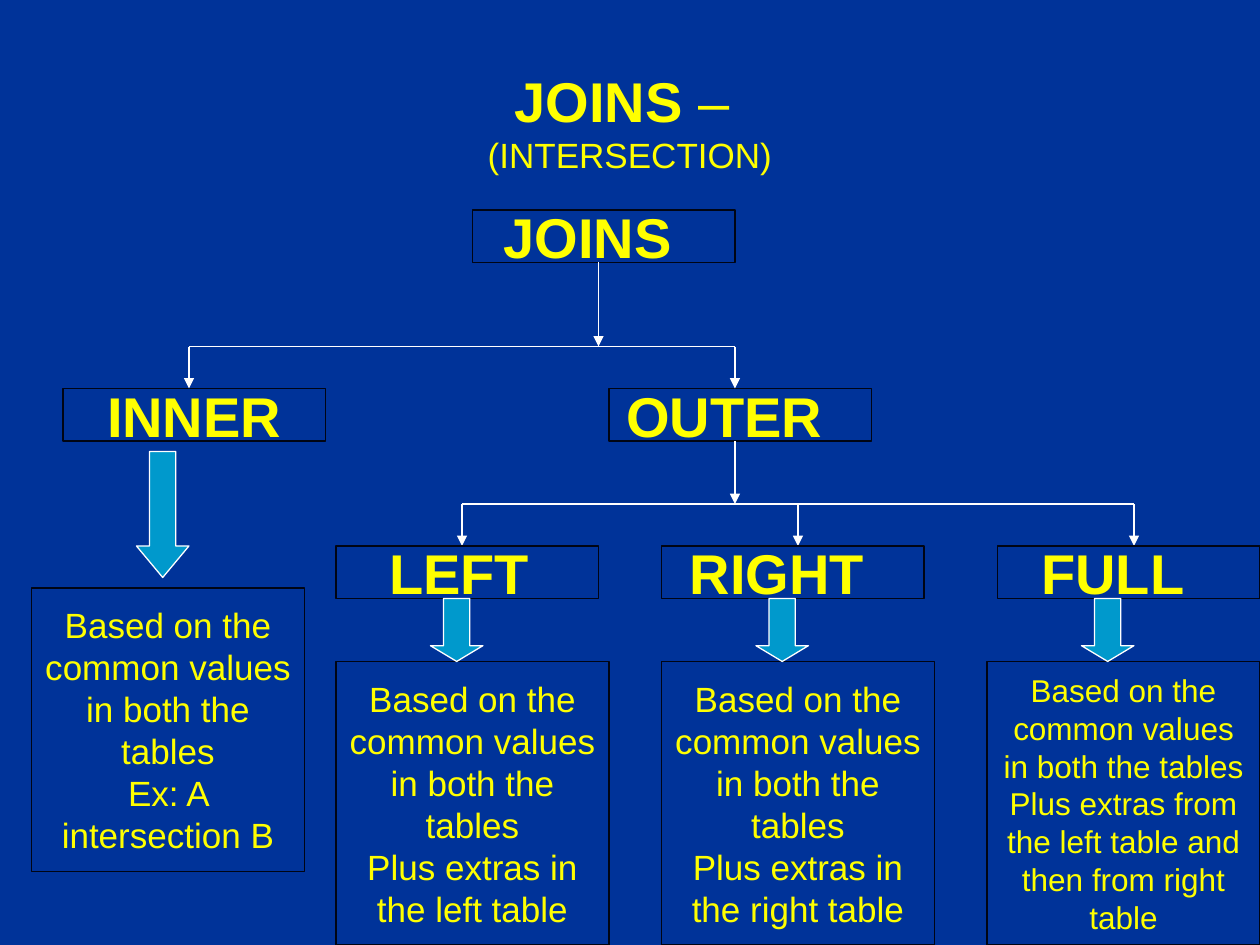
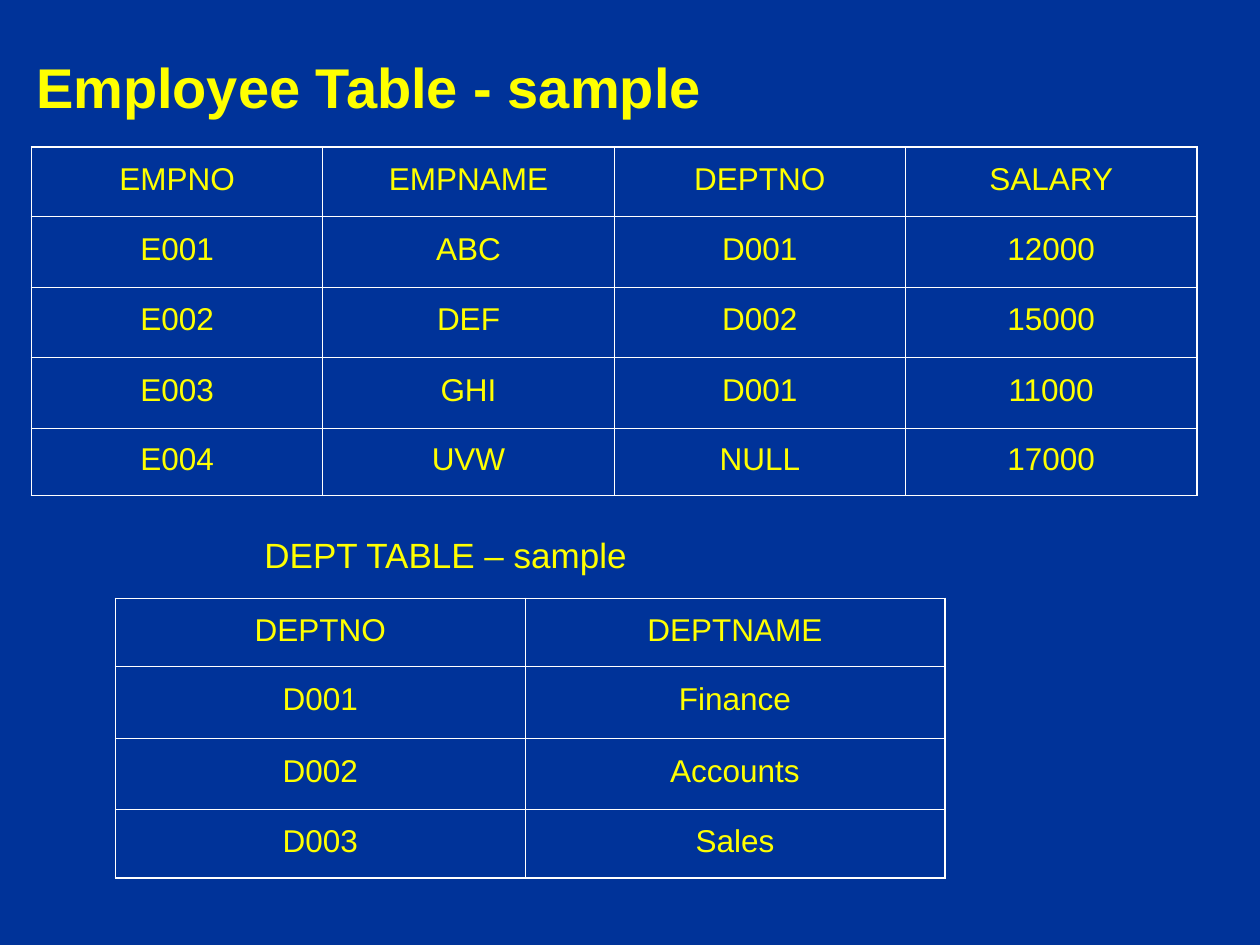
from pptx import Presentation
from pptx.dml.color import RGBColor
from pptx.enum.shapes import MSO_CONNECTOR, MSO_SHAPE
from pptx.enum.text import MSO_ANCHOR, PP_ALIGN
from pptx.oxml import parse_xml
from pptx.oxml.ns import nsdecls, qn
from pptx.util import Inches, Pt

BLUE, YELLOW, WHITE, DARK, CYAN = "003399", "FFFF00", "FFFFFF", "000514", "0099CC"
FONT = "Arial"
COLS, ROWS = 120, 90  # square grid cells, twelve to the inch


def color(code):
    return RGBColor.from_string(code)


def unit(count):
    return Inches(count / 12)


class Deck:
    def __init__(self):
        self.prs = Presentation()
        self.prs.slide_width, self.prs.slide_height = unit(COLS), unit(ROWS)
        self.slide = None

    def page(self):
        self.slide = self.prs.slides.add_slide(self.prs.slide_layouts[6])
        fill = self.slide.background.fill
        fill.solid()
        fill.fore_color.rgb = color(BLUE)

    def style(self, font, size, bold=False):
        font.name, font.size, font.bold = FONT, Pt(size), bold
        font.color.rgb = color(YELLOW)

    def put(self, frame, text, size, bold=False, align=PP_ALIGN.CENTER):
        frame.word_wrap = True
        para = frame.paragraphs[0]
        para.text, para.alignment = text, align
        self.style(para.font, size, bold)
        return para

    def label(self, x, y, w, h, text, size, bold=False, align=PP_ALIGN.LEFT,
              anchor=MSO_ANCHOR.MIDDLE):
        box = self.slide.shapes.add_textbox(*map(unit, (x, y, w, h)))
        box.text_frame.vertical_anchor = anchor
        return self.put(box.text_frame, text, size, bold, align)

    def shape(self, kind, x, y, w, h, fill, edge):
        item = self.slide.shapes.add_shape(kind, *map(unit, (x, y, w, h)))
        item.shadow.inherit = False
        item.fill.solid()
        item.fill.fore_color.rgb = color(fill)
        item.line.color.rgb = color(edge)
        item.line.width = Pt(0.75)
        return item

    def box(self, x, y, w, h, text, size, bold=False, pad=0):
        item = self.shape(MSO_SHAPE.RECTANGLE, x, y, w, h, BLUE, DARK)
        frame = item.text_frame
        frame.vertical_anchor = MSO_ANCHOR.MIDDLE
        frame.margin_right = Inches(0.1) + unit(pad)
        self.put(frame, text, size, bold)

    def head(self, x, y, text, pad=3):
        self.box(x, y, 25, 5, text, 32, True, pad)

    def note(self, x, y, text, size=20):
        self.box(x, y, 26, 27, text, size)

    def arrow(self, x, y, h, tip):
        item = self.shape(MSO_SHAPE.DOWN_ARROW, x, y, 5, h, CYAN, WHITE)
        item.adjustments[0], item.adjustments[1] = 0.5, tip

    def line(self, x1, y1, x2, y2, tip=True):
        item = self.slide.shapes.add_connector(
            MSO_CONNECTOR.STRAIGHT, *map(unit, (x1, y1, x2, y2)))
        item.line.color.rgb = color(WHITE)
        item.line.width = Pt(0.75)
        props = item._element.spPr
        if tip:
            props.find(qn("a:ln")).append(
                parse_xml(f'<a:tailEnd {nsdecls("a")} type="triangle"/>'))
        props.append(parse_xml(f'<a:effectLst {nsdecls("a")}/>'))

    def fork(self, x, top, bar, ends):
        """Stem down to a bar, with an arrow from the bar to each end."""
        self.line(x, top, x, bar)
        self.line(ends[0], bar, ends[-1], bar, tip=False)
        for end in ends:
            self.line(end, bar, end, bar + 4)

    def edges(self, cell, outer):
        props = cell._tc.get_or_add_tcPr()
        for spot, (side, thick) in enumerate(zip("LRTB", outer)):
            width = Pt(1.08 if thick else 0.45)
            props.insert(spot, parse_xml(
                f'<a:ln{side} {nsdecls("a")} w="{width}"><a:solidFill>'
                f'<a:srgbClr val="{WHITE}"/></a:solidFill></a:ln{side}>'))

    def table(self, x, y, widths, heights, rows):
        grid = self.slide.shapes.add_table(
            len(heights), len(widths),
            *map(unit, (x, y, sum(widths), sum(heights)))).table
        grid.first_row = grid.horz_banding = False
        for col, w in zip(grid.columns, widths):
            col.width = unit(w)
        for row, h in zip(grid.rows, heights):
            row.height = unit(h)
        last, end = len(heights) - 1, len(widths) - 1
        for r, row in enumerate(rows):
            for c, text in enumerate(row.split()):
                cell = grid.cell(r, c)
                cell.fill.background()
                cell.vertical_anchor = MSO_ANCHOR.MIDDLE
                self.put(cell.text_frame, text, 18).line_spacing = 0.8
                self.edges(cell, (c == 0, c == end, r == 0, r == last))


def joins(deck):
    deck.page()
    # Title in two lines
    para = deck.label(0, 6, COLS, 11, "", 32, align=PP_ALIGN.CENTER)
    for text, size, bold in (("JOINS ", 32, True), ("– ", 32, False),
                             ("(INTERSECTION)", 20, False)):
        if size == 20:
            para.add_line_break()
        run = para.add_run()
        run.text = text
        deck.style(run.font, size, bold)

    # Tree of join kinds
    deck.head(45, 20, "JOINS")
    deck.head(6, 37, "INNER", pad=0)
    deck.head(58, 37, "OUTER")
    deck.fork(57, 25, 33, (18, 70))
    deck.fork(70, 42, 48, (44, 76, 108))

    # Inner join
    base = "Based on the common values in both the tables\v"
    deck.note(3, 56, base + "Ex: A intersection B")
    deck.arrow(13, 43, 12, 0.6)

    # Outer joins
    for x, left, name, pad, more, size in (
            (32, 32, "LEFT", 1.5, "Plus extras in the left table", 20),
            (63, 63, "RIGHT", 3, "Plus extras in the right table", 20),
            (95, 94, "FULL", 3, "Plus extras from the left table and then "
                                "from right table", 18)):
        deck.head(x, 52, name, pad)
        deck.note(left, 63, base + more, size)
        deck.arrow(left + 9, 57, 6, 0.3)


def samples(deck):
    deck.page()
    # Employees
    deck.label(2.25, 4, 112, 8.4, "Employee Table - sample", 32, True)
    deck.table(3, 14, [111 / 4] * 4, [6.6, 6.8, 6.6, 6.8, 6.4], (
        "EMPNO EMPNAME DEPTNO SALARY",
        "E001 ABC D001 12000",
        "E002 DEF D002 15000",
        "E003 GHI D001 11000",
        "E004 UVW NULL 17000"))

    # Departments
    para = deck.label(24, 51, 42, 4, "DEPT TABLE – sample", 20,
                      anchor=MSO_ANCHOR.TOP)
    para.line_spacing = 0.8
    deck.table(11, 57, [39, 40], [6.5, 6.8, 6.8, 6.5], (
        "DEPTNO DEPTNAME", "D001 Finance", "D002 Accounts", "D003 Sales"))


def main():
    deck = Deck()
    joins(deck)
    samples(deck)
    deck.prs.save("out.pptx")


if __name__ == "__main__":
    main()
